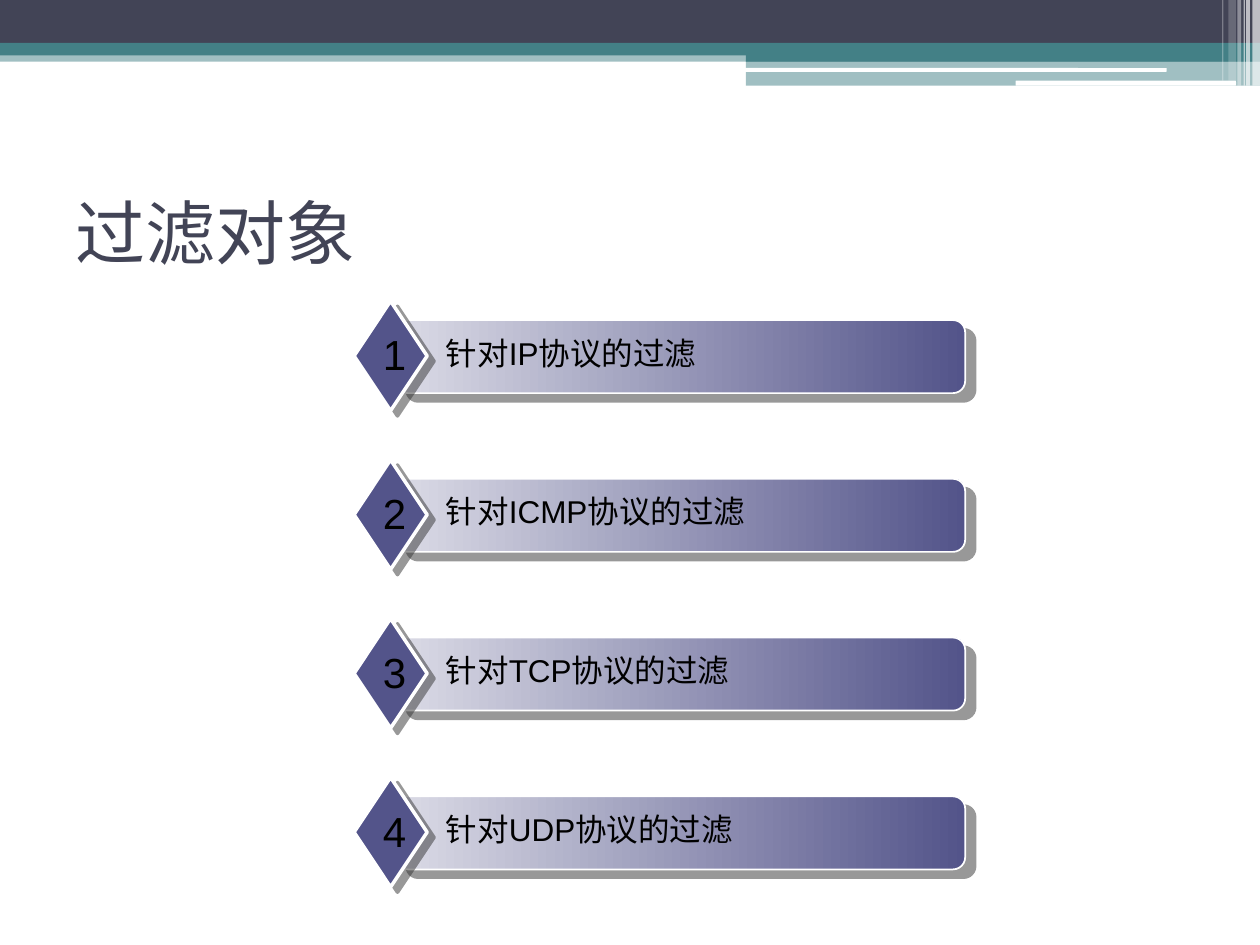
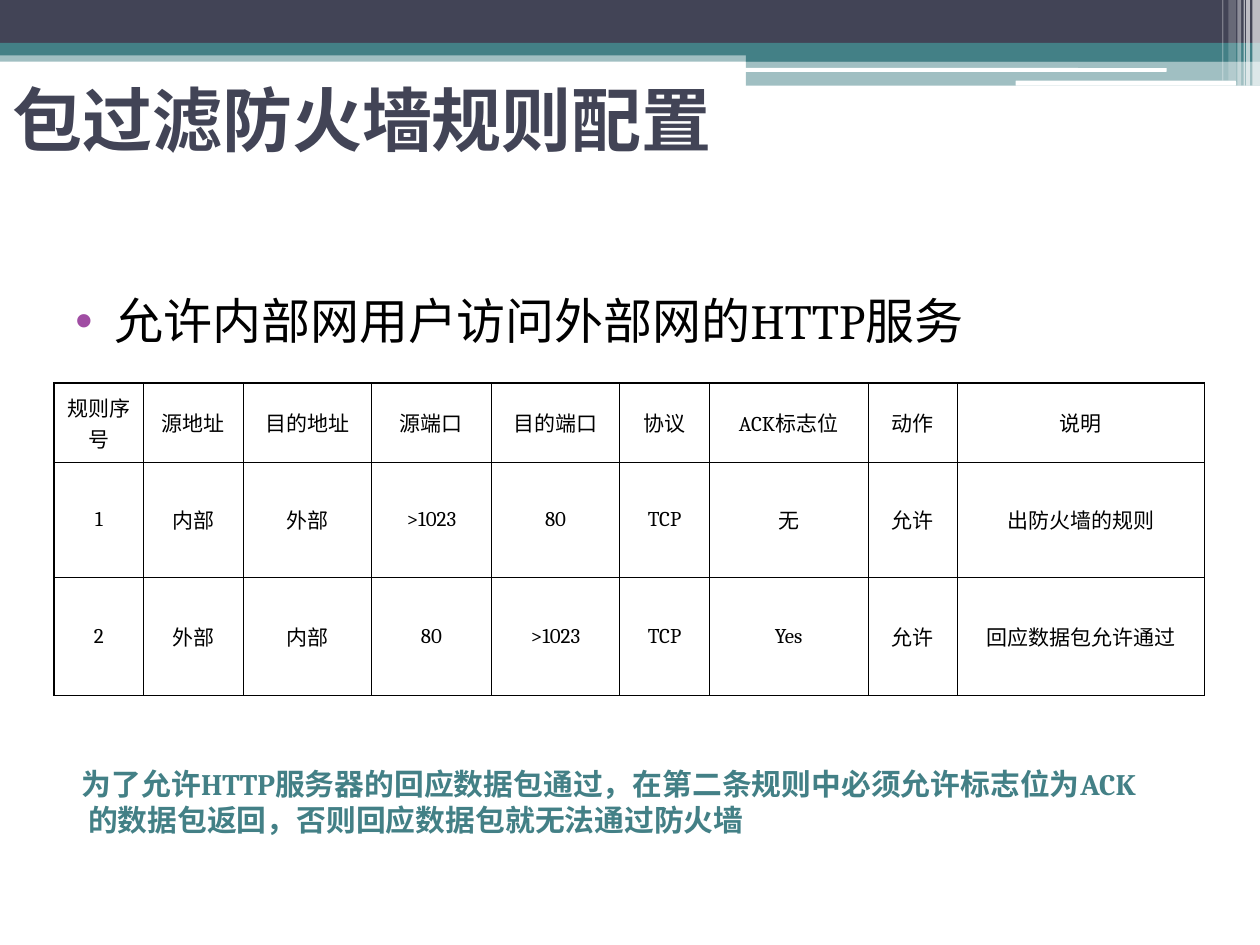
"""Build two slides on packet filtering: what is filtered and how the rules are set."""
import dataclasses

import lxml.etree
import pptx
import pptx.dml.color
import pptx.enum.shapes
import pptx.enum.text
import pptx.oxml.ns
import pptx.util


@dataclasses.dataclass(frozen=True)
class Theme:
    ink: str = "000000"
    paper: str = "FFFFFF"
    slate: str = "424456"
    teal: str = "438086"
    indigo: str = "53548A"
    mist: str = "DBDBE6"
    purple: str = "A04DA3"
    shade: str = "333333"
    title_font: str = "Roboto"
    label_font: str = "Arial"
    body_font: str = "Cambria"
    title_size: int = 40
    bullet_size: int = 28
    number_size: int = 24
    label_size: int = 18
    note_size: int = 17
    table_size: int = 12


theme = Theme()
shapes = pptx.enum.shapes.MSO_SHAPE
middle = pptx.enum.text.MSO_ANCHOR.MIDDLE
rgb = pptx.dml.color.RGBColor.from_string
qn = pptx.oxml.ns.qn

presentation = pptx.Presentation()
presentation.slide_width = pptx.util.Inches(10)
presentation.slide_height = pptx.util.Inches(7.5)
column = presentation.slide_width / 100
row = presentation.slide_height / 75


def add_block(slide, kind, left, top, width, height, color, opacity=100, outline=0, shadow=None):
    """Draw a filled shape placed in grid columns and rows."""
    shape = slide.shapes.add_shape(kind, int(left * column), int(top * row),
                                   int(width * column), int(height * row))
    shape.fill.solid()
    shape.fill.fore_color.rgb = rgb(color)
    if opacity < 100:
        fill_color = shape.element.spPr.find(".//" + qn("a:srgbClr"))
        lxml.etree.SubElement(fill_color, qn("a:alpha"), val=str(opacity * 1000))
    if outline:
        shape.line.color.rgb = rgb(theme.paper)
        shape.line.width = pptx.util.Pt(outline)
    else:
        shape.line.fill.background()
    shape.shadow.inherit = False
    if shadow:
        distance, angle = shadow
        effects = shape.element.spPr.find(qn("a:effectLst"))
        outer = lxml.etree.SubElement(effects, qn("a:outerShdw"), blurRad="0",
                                      dist=str(pptx.util.Pt(distance)), dir=str(angle * 60000),
                                      algn="ctr", rotWithShape="0")
        shade = lxml.etree.SubElement(outer, qn("a:srgbClr"), val=theme.shade)
        lxml.etree.SubElement(shade, qn("a:alpha"), val="50000")
    return shape


def add_text(slide, left, top, width, height, text, font, size, color, bold=False, anchor=None,
             margin=0, indent=0, bullet=None):
    """Add a one-paragraph text box placed in grid columns and rows."""
    box = slide.shapes.add_textbox(int(left * column), int(top * row),
                                   int(width * column), int(height * row))
    frame = box.text_frame
    frame.word_wrap = True
    frame.vertical_anchor = anchor
    paragraph = frame.paragraphs[0]
    paragraph.text = text
    properties = paragraph._p.get_or_add_pPr()
    properties.set("marL", str(int(margin * column)))
    properties.set("indent", str(int(indent * column)))
    if bullet:
        bullet_color = lxml.etree.SubElement(properties, qn("a:buClr"))
        lxml.etree.SubElement(bullet_color, qn("a:srgbClr"), val=bullet)
        lxml.etree.SubElement(properties, qn("a:buFont"), typeface=theme.label_font)
        lxml.etree.SubElement(properties, qn("a:buChar"), char="•")
    paragraph.font.name = font
    paragraph.font.size = pptx.util.Pt(size)
    paragraph.font.bold = bold
    paragraph.font.color.rgb = rgb(color)


bands = [
    (0, 4, 100, 0.9, theme.teal, 50),
    (0, 0, 100, 3.4, theme.slate, 100),
    (0, 3.4, 100, 1, theme.teal, 100),
    (59.2, 3.9, 40.8, 1, theme.teal, 100),
    (59.2, 4.8, 40.8, 2, theme.teal, 50),
]
slots = [(59.1, 5.4, 33.5, 0.3), (80.6, 6.4, 17.5, 0.4)]
stripes = [
    (99.4, 0.6, 6.8, 65),
    (98.9, 0.3, 6.8, 65),
    (98.7, 0.1, 6.8, 60),
    (98.2, 0.3, 6.8, 40),
    (97.5, 0.6, 6.4, 20),
    (97, 0.1, 6.4, 30),
]
titles = [
    ((5, 12.5, 90, 11.7), "过滤对象", False),
    ((0, 6, 76.2, 6.8), "包过滤防火墙规则配置", True),
]
slides = []
for title_box, title, bold in titles:
    slide = presentation.slides.add_slide(presentation.slide_layouts[6])
    for left, top, width, height, color, opacity in bands:
        add_block(slide, shapes.RECTANGLE, left, top, width, height, color, opacity)
    for slot in slots:
        add_block(slide, shapes.ROUNDED_RECTANGLE, *slot, theme.paper)
    for left, width, height, opacity in stripes:
        add_block(slide, shapes.RECTANGLE, left, 0, width, height, theme.paper, opacity)
    add_text(slide, *title_box, title, theme.title_font, theme.title_size, theme.slate,
             bold, middle)
    slides.append(slide)
targets_slide, rules_slide = slides

for index, protocol in enumerate(["IP", "ICMP", "TCP", "UDP"]):
    top = 25.4 + index * 12.6
    bar = add_block(targets_slide, shapes.ROUNDED_RECTANGLE, 31.4, top, 45.2, 5.8,
                    theme.indigo, outline=1, shadow=(7.8, 40))
    bar.fill.gradient()
    bar.fill.gradient_angle = 0
    for stop, color in zip(bar.fill.gradient_stops, [theme.mist, theme.indigo]):
        stop.color.rgb = rgb(color)
    add_block(targets_slide, shapes.DIAMOND, 28.1, top - 1.5, 5.8, 8.7,
              theme.indigo, outline=2, shadow=(5, 37))
    add_text(targets_slide, 34.4, top + 0.6, 41, 4, f"针对{protocol}协议的过滤",
             theme.label_font, theme.label_size, theme.ink)
    add_text(targets_slide, 29.4, top + 0.2, 4, 5, str(index + 1),
             theme.label_font, theme.number_size, theme.ink)

rules = [
    ["规则序号", "源地址", "目的地址", "源端口", "目的端口", "协议", "ACK标志位", "动作", "说明"],
    ["1", "内部", "外部", ">1023", "80", "TCP", "无", "允许", "出防火墙的规则"],
    ["2", "外部", "内部", "80", ">1023", "TCP", "Yes", "允许", "回应数据包允许通过"],
]
column_widths = [7.1, 7.9, 10.2, 9.5, 10.2, 7.1, 12.6, 7.1, 19.6]
row_heights = [6.3, 9.1, 9.4]
last_row, last_column = len(row_heights) - 1, len(column_widths) - 1
table = rules_slide.shapes.add_table(
    len(row_heights), len(column_widths), int(4.3 * column), int(30.4 * row),
    int(sum(column_widths) * column), int(sum(row_heights) * row)).table
table.first_row = False
table.horz_banding = False
for table_column, width in zip(table.columns, column_widths):
    table_column.width = int(width * column)
for table_row, height in zip(table.rows, row_heights):
    table_row.height = int(height * row)
for row_index, values in enumerate(rules):
    for column_index, value in enumerate(values):
        cell = table.cell(row_index, column_index)
        cell.fill.background()
        cell.vertical_anchor = middle
        paragraph = cell.text_frame.paragraphs[0]
        paragraph.text = value
        paragraph.alignment = pptx.enum.text.PP_ALIGN.CENTER
        paragraph.font.name = theme.body_font
        paragraph.font.size = pptx.util.Pt(theme.table_size)
        paragraph.font.color.rgb = rgb(theme.ink)
        outer_edges = {"a:lnL": column_index == 0, "a:lnR": column_index == last_column,
                       "a:lnT": row_index == 0, "a:lnB": row_index == last_row}
        properties = cell._tc.get_or_add_tcPr()
        for position, (edge, is_outer) in enumerate(outer_edges.items()):
            border_width = pptx.util.Pt(1.08 if is_outer else 0.45)
            border = lxml.etree.SubElement(properties, qn(edge), w=str(border_width))
            border_fill = lxml.etree.SubElement(border, qn("a:solidFill"))
            lxml.etree.SubElement(border_fill, qn("a:srgbClr"), val=theme.ink)
            properties.insert(position, border)

add_text(rules_slide, 0, 22.6, 92.8, 8.6, "允许内部网用户访问外部网的HTTP服务",
         theme.body_font, theme.bullet_size, theme.ink,
         margin=8.1, indent=-3.1, bullet=theme.purple)
add_text(rules_slide, 0, 60.3, 93.2, 8.6,
         "为了允许HTTP服务器的回应数据包通过，在第二条规则中必须允许标志位为ACK的数据包返回，"
         "否则回应数据包就无法通过防火墙",
         theme.body_font, theme.note_size, theme.teal, bold=True, margin=6, indent=-0.5)

presentation.save("out.pptx")
